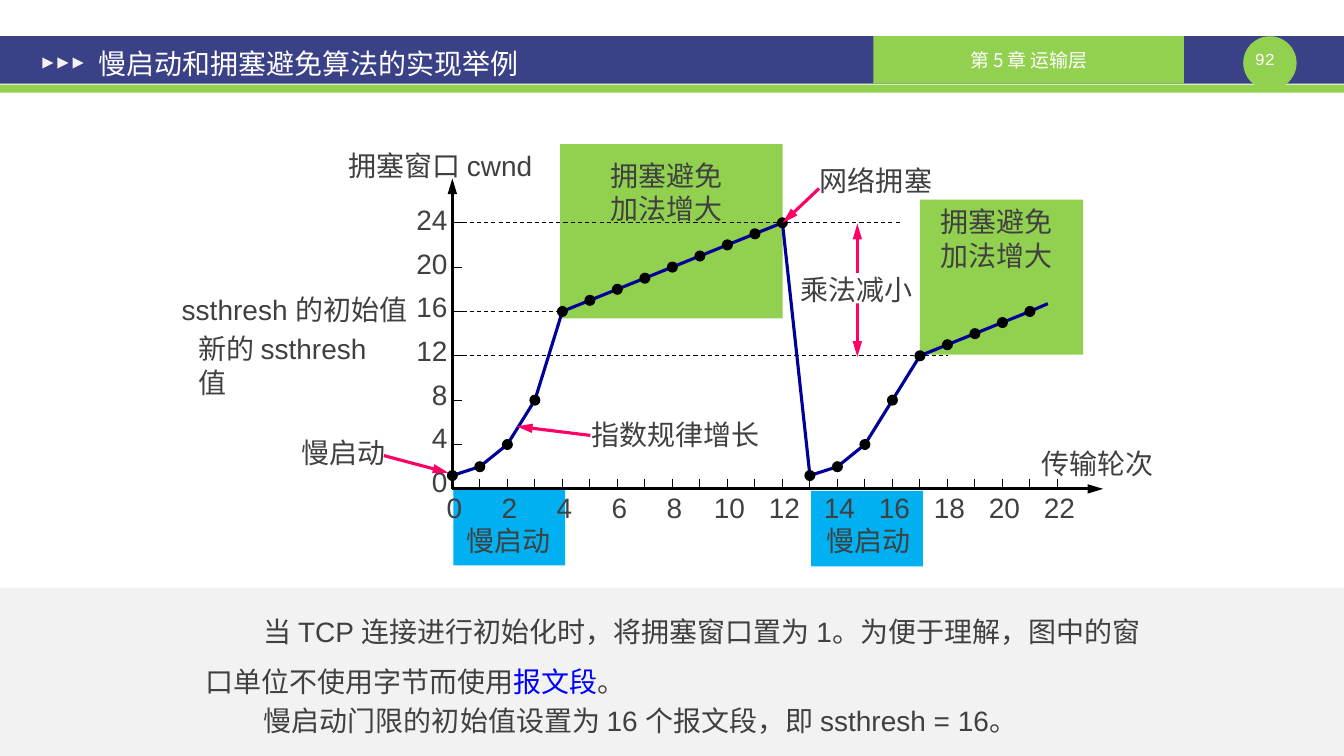
"""Build the slide on slow start and congestion avoidance."""
from lxml import etree
from pptx import Presentation
from pptx import util as u
from pptx.dml.color import RGBColor
from pptx.enum import dml, shapes, text
from pptx.oxml.ns import qn

THEME = {
    "navy": "3A4187", "green": "92D050", "blue": "00B0F0", "pale": "F2F2F2",
    "white": "FFFFFF", "ink": "404040", "black": "000000", "pink": "FF0066",
    "curve": "000099", "link": "0000FF",
    "body": 20, "chapter": 13.5, "number": 12, "thin": 0.75, "thick": 2.25,
    "latin": "Arial", "mono": "Courier New", "cjk": "Noto Sans CJK SC",
}
RECT = shapes.MSO_SHAPE.RECTANGLE
OVAL = shapes.MSO_SHAPE.OVAL
LEFT, CENTER, RIGHT = text.PP_ALIGN.LEFT, text.PP_ALIGN.CENTER, text.PP_ALIGN.RIGHT

BANDS = [
    (RECT, (0, 0.36, 13.34, 0.47), "navy"),
    (RECT, (0, 0.84, 13.34, 0.08), "green"),
    (OVAL, (12.34, 0.36, 0.53, 0.53), "green"),
    (RECT, (8.67, 0.36, 3.08, 0.47), "green"),
    (RECT, (0, 5.83, 13.34, 1.67), "pale"),
]
PHASES = [
    (RECT, (9.13, 1.98, 1.62, 1.54), "green"),
    (RECT, (5.56, 1.43, 2.21, 1.73), "green"),
    (RECT, (8.05, 4.87, 1.11, 0.75), "blue"),
    (RECT, (4.5, 4.86, 1.11, 0.75), "blue"),
]
HEADINGS = [
    ((0.88, 0.39, 5.8, 0.47), "慢启动和拥塞避免算法的实现举例", LEFT, {}),
    ((8.67, 0.36, 3.08, 0.47), "第 5 章 运输层", CENTER,
     {"size": "chapter", "latin": "cjk"}),
    ((12.29, 0.48, 0.53, 0.2), "92", CENTER, {"size": "number", "latin": "mono"}),
]
AVOIDANCE = "拥塞避免\n加法增大"
LABELS = [
    ((3.36, 1.42, 2.12, 0.44), "拥塞窗口 cwnd", LEFT),
    ((8.04, 1.57, 1.31, 0.43), "网络拥塞", LEFT),
    ((5.77, 4.09, 1.89, 0.44), "指数规律增长", LEFT),
    ((1.67, 2.85, 2.51, 0.44), "ssthresh 的初始值", CENTER),
    ((2.89, 4.27, 1.15, 0.43), "慢启动", LEFT),
    ((4.53, 5.14, 1.14, 0.43), "慢启动", LEFT),
    ((8.11, 5.14, 1.14, 0.43), "慢启动", LEFT),
    ((5.96, 1.52, 1.31, 0.77), AVOIDANCE, CENTER),
    ((9.24, 1.98, 1.31, 0.77), AVOIDANCE, CENTER),
    ((10.24, 4.38, 1.31, 0.43), "传输轮次", LEFT),
]
NEW_THRESHOLD = ((1.87, 3.24, 2.1, 0.77), "新的 ssthresh 值")
DECREASE_MASK = (RECT, (7.93, 2.71, 1.13, 0.3), "white")
DECREASE = ((7.85, 2.65, 1.4, 0.43), "乘法减小")
NOTES = [
    ((1.94, 5.88, 9.59, 1.11), 1.5,
     [("当 TCP 连接进行初始化时，将拥塞窗口置为 1。为便于理解，图中的窗口单位不使用字节而使用", "ink"),
      ("报文段", "link"), ("。", "ink")]),
    ((1.94, 6.93, 9.45, 0.44), 1.0,
     [("慢启动门限的初始值设置为 16 个报文段，即 ssthresh = 16。", "ink")]),
]
CALLOUTS = [
    ((8.13, 1.87), (7.77, 2.21)),
    ((5.86, 4.32), (5.13, 4.23)),
    ((3.81, 4.52), (4.45, 4.69)),
]
WINDOW = [1.2, 2, 4, 8, *range(16, 25), 1.2, 2, 4, 8, *range(12, 17)]
CURVE_END = (21.65, 16.7)
THRESHOLDS = [(16, 5.59), (24, 8.94), (12, 9.41)]
ORIGIN_X, ORIGIN_Y, ROUND_STEP, WINDOW_STEP = 4.49, 4.85, 0.273, 0.11
TICK, DOT = 0.1, 0.11

presentation = Presentation()
presentation.slide_width, presentation.slide_height = u.Inches(13.34), u.Inches(7.5)
slide = presentation.slides.add_slide(presentation.slide_layouts[6])


def color(name):
    return RGBColor.from_string(THEME[name])


def inches(values):
    return [u.Inches(value) for value in values]


def plot(round_number, window):
    return ORIGIN_X + ROUND_STEP * round_number, ORIGIN_Y - WINDOW_STEP * window


def add_block(kind, box, fill, rotation=0):
    shape = slide.shapes.add_shape(kind, *inches(box))
    shape.shadow.inherit = False
    shape.fill.solid()
    shape.fill.fore_color.rgb = color(fill)
    shape.line.fill.background()
    shape.rotation = rotation


def add_line(start, end, ink="black", width="thin", ends=(), dashed=False):
    line = slide.shapes.add_connector(shapes.MSO_CONNECTOR.STRAIGHT, *inches(start + end))
    line.line.color.rgb = color(ink)
    line.line.width = u.Pt(THEME[width])
    if dashed:
        line.line.dash_style = dml.MSO_LINE.DASH
    for end_name in ends:
        etree.SubElement(line.line._get_or_add_ln(), qn(f"a:{end_name}"),
                         type="triangle", len="lg")
    etree.SubElement(line._element.spPr, qn("a:effectLst"))


def add_run(paragraph, words, ink="ink", size="body", latin="latin"):
    run = paragraph.add_run()
    run.text = words
    font_format = {"size": u.Pt(THEME[size]), "name": THEME[latin]}
    for key, value in font_format.items():
        setattr(run.font, key, value)
    run.font.color.rgb = color(ink)
    etree.SubElement(run.font._element, qn("a:ea"), typeface=THEME["cjk"])


def add_box(box, wrap=False, **frame_format):
    shape = slide.shapes.add_textbox(*inches(box))
    for key, value in {"word_wrap": wrap, **frame_format}.items():
        setattr(shape.text_frame, key, value)
    return shape.text_frame


def add_label(box, words, align=LEFT, wrap=False, frame=None, **font):
    text_frame = add_box(box, wrap, **(frame or {}))
    for index, line in enumerate(words.split("\n")):
        paragraph = text_frame.add_paragraph() if index else text_frame.paragraphs[0]
        paragraph.alignment = align
        add_run(paragraph, line, **font)


def add_axes():
    for number in range(1, 23):
        x, y = plot(number, 0)
        add_line((x, y - TICK), (x, y))
    for window in range(4, 25, 4):
        x, y = plot(0, window)
        add_line((x, y), (x + TICK, y))
    add_line((ORIGIN_X, ORIGIN_Y), (10.95, ORIGIN_Y), width="thick", ends=["tailEnd"])
    add_line((ORIGIN_X, ORIGIN_Y), (ORIGIN_X, 1.77), width="thick", ends=["tailEnd"])
    for number in range(0, 23, 2):
        center = plot(number, 0)[0] + 0.02
        add_label((center - 0.27, 4.82, 0.54, 0.44), str(number), CENTER, wrap=True)
    for window in range(0, 25, 4):
        add_label((4, 4.56 - 0.433 * window / 4, 0.54, 0.44), str(window), RIGHT, wrap=True)
    for window, right in THRESHOLDS:
        y = plot(0, window)[1]
        add_line((ORIGIN_X + TICK, y), (right, y), dashed=True)


def add_curve():
    points = [plot(*point) for point in enumerate(WINDOW)]
    corners = [inches(point) for point in points + [plot(*CURVE_END)]]
    builder = slide.shapes.build_freeform(*corners[0])
    builder.add_line_segments(corners[1:], close=False)
    curve = builder.convert_to_shape()
    curve.shadow.inherit = False
    curve.fill.background()
    curve.line.color.rgb = color("curve")
    curve.line.width = u.Pt(THEME["thick"])
    for x, y in points:
        add_block(OVAL, (x - DOT / 2, y - DOT / 2, DOT, DOT), "black")


def main():
    for band in BANDS + PHASES:
        add_block(*band)
    for index in range(3):
        add_block(shapes.MSO_SHAPE.ISOSCELES_TRIANGLE,
                  (0.42 + 0.15 * index, 0.57, 0.11, 0.11), "pale", 90)
    frame = {"vertical_anchor": text.MSO_ANCHOR.MIDDLE, "margin_top": 0, "margin_bottom": 0}
    for box, words, align, font in HEADINGS:
        add_label(box, words, align, True, frame, ink="white", **font)
    add_axes()
    add_curve()
    for label in LABELS:
        add_label(*label)
    add_label(*NEW_THRESHOLD, wrap=True)
    for start, end in CALLOUTS:
        add_line(start, end, "pink", "thick", ["tailEnd"])
    add_line((8.51, 2.22), (8.51, 3.54), "pink", "thick", ["headEnd", "tailEnd"])
    add_block(*DECREASE_MASK)
    add_label(*DECREASE, wrap=True)
    for box, spacing, runs in NOTES:
        paragraph = add_box(box, True).paragraphs[0]
        paragraph.line_spacing = spacing
        paragraph._p.get_or_add_pPr().set("indent", str(u.Inches(0.58)))
        for words, ink in runs:
            add_run(paragraph, words, ink)
    presentation.save("out.pptx")


if __name__ == "__main__":
    main()
